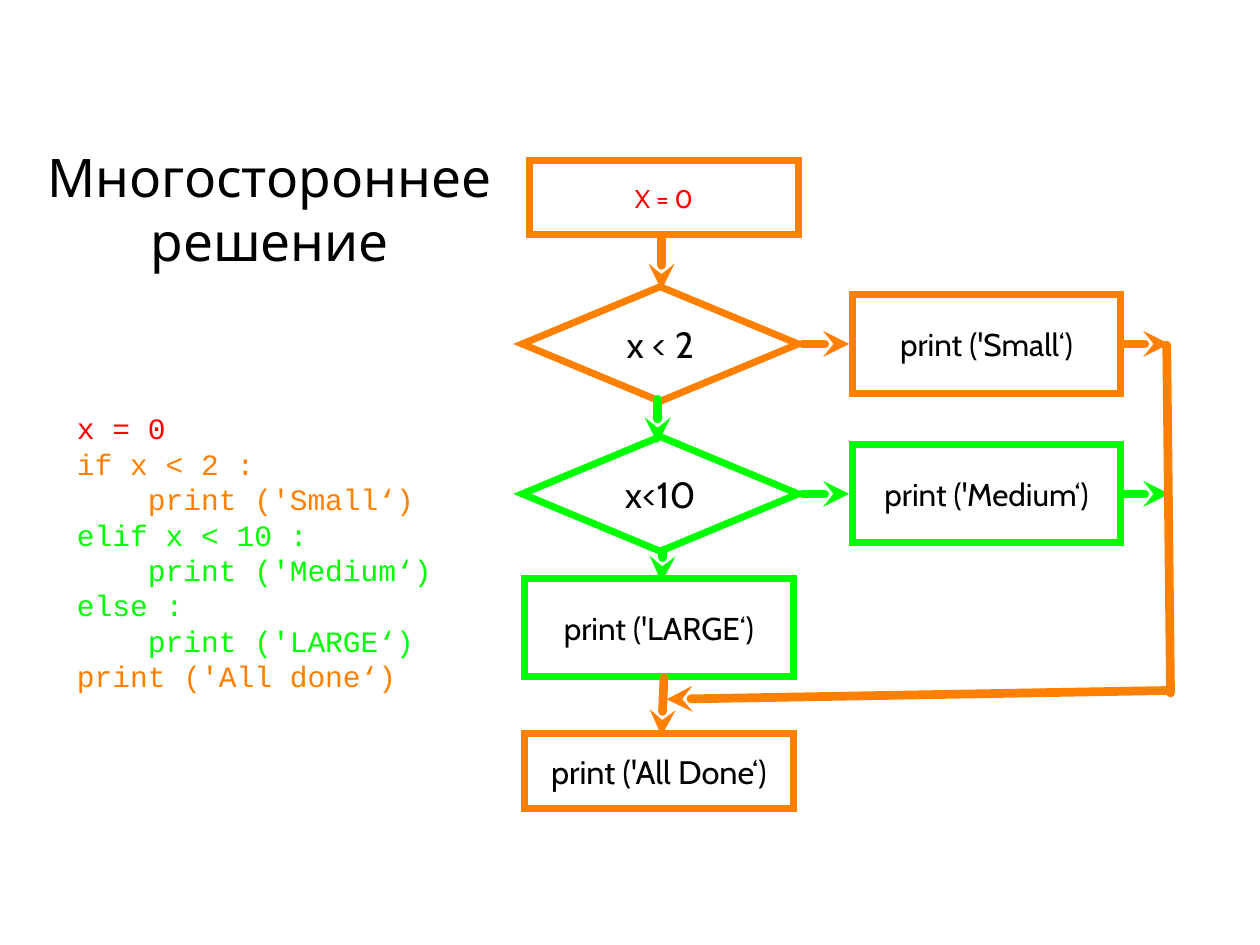
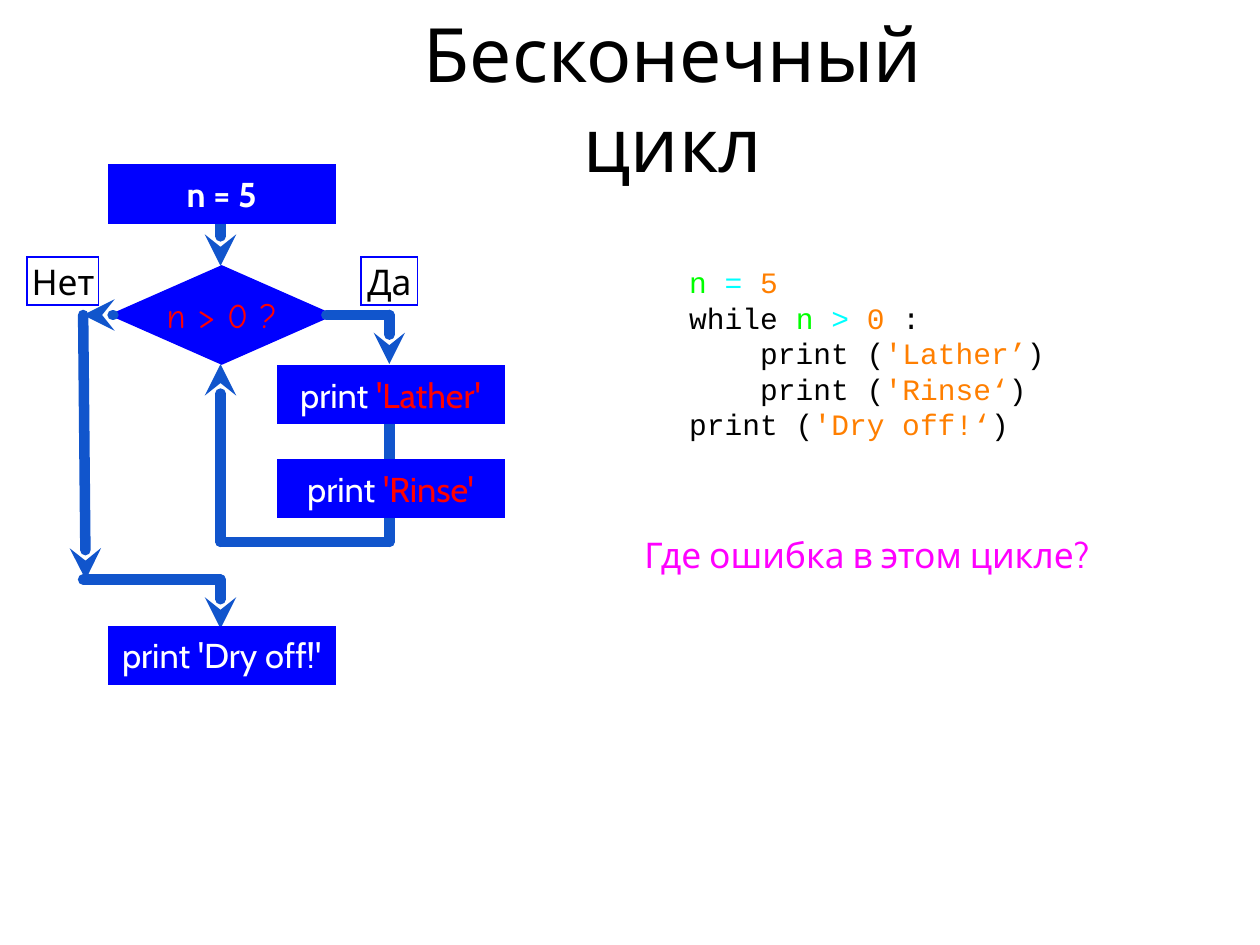
from lxml import etree
from pptx import Presentation
from pptx.dml.color import RGBColor
from pptx.enum.shapes import MSO_CONNECTOR, MSO_SHAPE
from pptx.enum.text import MSO_ANCHOR, MSO_AUTO_SIZE, PP_ALIGN
from pptx.oxml.ns import qn
from pptx.util import Inches, Pt

RECT, DIAMOND = MSO_SHAPE.RECTANGLE, MSO_SHAPE.DIAMOND
STRAIGHT = MSO_CONNECTOR.STRAIGHT
LEFT, CENTER = PP_ALIGN.LEFT, PP_ALIGN.CENTER
MIDDLE = MSO_ANCHOR.MIDDLE
NO_AUTOFIT = MSO_AUTO_SIZE.NONE

COLORS = {
    "black": "000000", "white": "FFFFFF", "red": "FF0000",
    "orange": "FF7F00", "green": "00FF00", "cyan": "00FFFF",
    "blue": "0000FF", "arrow blue": "1155CC", "magenta": "FF00FF",
}
BODY_FONT, CODE_FONT, COMIC_FONT = "Cabin", "Courier New", "Comic Neue"
CODE_SIZE = 16.9
TITLE_LAYOUT = 5


def color(name):
    return RGBColor.from_string(COLORS[name])


def write(frame, lines, size, font=BODY_FONT, align=CENTER, margin=0,
          wrap=True, bold=False):
    """Fill a text frame; each line is a list of (text, colour) spans."""
    frame.auto_size = NO_AUTOFIT
    frame.word_wrap = wrap
    frame.vertical_anchor = MIDDLE
    frame.margin_left = frame.margin_right = Inches(margin)
    frame.margin_top = frame.margin_bottom = Inches(margin)
    for index, line in enumerate(lines):
        para = frame.add_paragraph() if index else frame.paragraphs[0]
        para.alignment = align
        for text, ink in line:
            span = para.add_run()
            span.text = text
            span.font.name = font
            span.font.size = Pt(size)
            span.font.bold = bold
            span.font.color.rgb = color(ink)


def add_page(deck, title, area, size):
    page = deck.slides.add_slide(deck.slide_layouts[TITLE_LAYOUT])
    box = page.shapes.title
    box.left, box.top, box.width, box.height = map(Inches, area)
    write(box.text_frame, [[(title, "black")]], size, margin=0.02)
    return page


def add_text(page, area, lines, size, **style):
    box = page.shapes.add_textbox(*map(Inches, area))
    write(box.text_frame, lines, size, **style)


def add_code(page, area, lines):
    add_text(page, area, lines, CODE_SIZE, font=CODE_FONT, align=LEFT)


def style_line(shape, ink, weight, join):
    shape.line.color.rgb = color(ink)
    shape.line.width = Pt(weight)
    outline = shape.line._get_or_add_ln()
    etree.SubElement(outline, qn(f"a:{join}"))
    return outline


def add_node(page, kind, center, size, spans, text_size, ink, weight,
             fill=None, **style):
    """Add a flowchart block placed by its centre."""
    (x, y), (width, height) = center, size
    area = (x - width / 2, y - height / 2, width, height)
    node = page.shapes.add_shape(kind, *map(Inches, area))
    node.shadow.inherit = False
    if fill:
        node.fill.solid()
        node.fill.fore_color.rgb = color(fill)
    else:
        node.fill.background()
    style_line(node, ink, weight, "miter")
    write(node.text_frame, [spans], text_size, wrap=False, **style)


def add_path(page, start, end, ink, weight, arrow=True):
    """Draw a round-capped line, by default with an arrowhead at its end."""
    path = page.shapes.add_connector(STRAIGHT, *map(Inches, start + end))
    outline = style_line(path, ink, weight, "round")
    outline.set("cap", "rnd")
    if arrow:
        etree.SubElement(outline, qn("a:tailEnd"), type="stealth")
    etree.SubElement(path._element.spPr, qn("a:effectLst"))


def build_decision_page(deck):
    page = add_page(deck, "Многостороннее решение", (-0.1, 1.14, 4.48, 1.02), 30.4)
    code = [
        ("x = 0", "red"),
        ("if x < 2 :", "orange"),
        ("    print ('Small‘)", "orange"),
        ("elif x < 10 :", "green"),
        ("    print ('Medium‘)", "green"),
        ("else :", "green"),
        ("    print ('LARGE‘)", "green"),
        ("print ('All done‘)", "orange"),
    ]
    add_code(page, (0.61, 2.82, 2.95, 3.12), [[line] for line in code])

    test, output, plain = (2.19, 0.91), (2.13, 0.78), (2.13, 0.59)
    small_row, medium_row = 2.73, 3.92
    nodes = [
        (RECT, (5.27, 1.57), plain, "X = 0", "red", 14.6, "orange"),
        (DIAMOND, (5.24, small_row), test, "x < 2", "black", 20.8, "orange"),
        (RECT, (7.83, small_row), output, "print ('Small‘)", "black", 18, "orange"),
        (DIAMOND, (5.24, medium_row), test, "x<10", "black", 20.8, "green"),
        (RECT, (7.83, medium_row), output, "print ('Medium‘)", "black", 18, "green"),
        (RECT, (5.23, 4.98), output, "print ('LARGE‘)", "black", 18, "green"),
        (RECT, (5.23, 6.12), plain, "print ('All Done‘)", "black", 18.6, "orange"),
    ]
    for kind, center, size, text, text_ink, text_size, ink in nodes:
        add_node(page, kind, center, size, [(text, text_ink)], text_size, ink, 4)

    for row, ink in ((small_row, "orange"), (medium_row, "green")):
        add_path(page, (6.37, row), (6.74, row), ink, 5)
        add_path(page, (8.91, row), (9.28, row), ink, 5)
    arrows = [
        ((5.25, 1.88), (5.25, 2.3), "orange"),
        ((5.22, 3.17), (5.22, 3.52), "green"),
        ((5.26, 4.37), (5.25, 4.62), "green"),
        ((5.27, 5.38), (5.25, 5.84), "orange"),
        ((9.28, 5.48), (5.29, 5.55), "orange"),
    ]
    for start, end, ink in arrows:
        add_path(page, start, end, ink, 5)
    add_path(page, (9.26, 2.74), (9.29, 5.5), "orange", 5, arrow=False)


def build_loop_page(deck):
    page = add_page(deck, "Бесконечный цикл", (2.64, 0.07, 5.4, 1.41), 42.8)
    add_code(page, (5.47, 1.95, 3.2, 1.7), [
        [("n ", "green"), ("= ", "cyan"), ("5", "orange")],
        [("while ", "black"), ("n ", "green"), ("> ", "cyan"),
         ("0 ", "orange"), (":", "black")],
        [("    print (", "black"), ("'Lather’", "orange"), (")", "black")],
        [("    print (", "black"), ("'Rinse‘", "orange"), (")", "black")],
        [("print (", "black"), ("'Dry off!‘", "orange"), (")", "black")],
    ])
    add_text(page, (4.94, 4.21, 3.88, 0.38),
             [[("Где ошибка в этом цикле?", "magenta")]], 20.2)

    main, body, exit_column = 1.75, 3.09, 0.66
    test_row, return_row, exit_row = 2.5, 4.3, 4.6
    add_node(page, DIAMOND, (main + 0.01, test_row), (1.77, 0.78),
             [("n > 0 ?", "red")], 19.7, "blue", 0.75, "blue", font=COMIC_FONT)

    arrows = [
        ((main, 1.76), (main, 2.11)),
        ((body, test_row), (body, 2.89)),
        ((main, return_row), (main, 2.89)),
        ((0.9, test_row), (exit_column, test_row)),
        ((exit_column, test_row), (exit_column + 0.02, exit_row)),
        ((main, exit_row), (main, 4.99)),
    ]
    for start, end in arrows:
        add_path(page, start, end, "arrow blue", 6)
    lines = [
        ((2.59, test_row), (body, test_row)),
        ((body, 3.01), (body, return_row)),
        ((body, return_row), (main, return_row)),
        ((exit_column, exit_row), (main, exit_row)),
    ]
    for start, end in lines:
        add_path(page, start, end, "arrow blue", 6, arrow=False)

    steps = [
        ((main + 0.01, 1.54), [("n = 5", "white")], True),
        ((body + 0.01, 3.13), [("print ", "white"), ("'Lather'", "red")], False),
        ((body + 0.01, 3.88), [("print ", "white"), ("'Rinse'", "red")], False),
        ((main + 0.01, 5.2), [("print 'Dry off!'", "white")], False),
    ]
    for center, spans, bold in steps:
        add_node(page, RECT, center, (1.8, 0.46), spans, 19.7, "blue", 0.75,
                 "blue", bold=bold)
    for answer, x, width in (("Нет", 0.5, 0.57), ("Да", 3.09, 0.45)):
        add_node(page, RECT, (x, 2.23), (width, 0.38), [(answer, "black")],
                 20.2, "blue", 0.75)


def main():
    deck = Presentation()
    deck.slide_width, deck.slide_height = Inches(10), Inches(7.5)
    build_decision_page(deck)
    build_loop_page(deck)
    deck.save("out.pptx")


if __name__ == "__main__":
    main()
